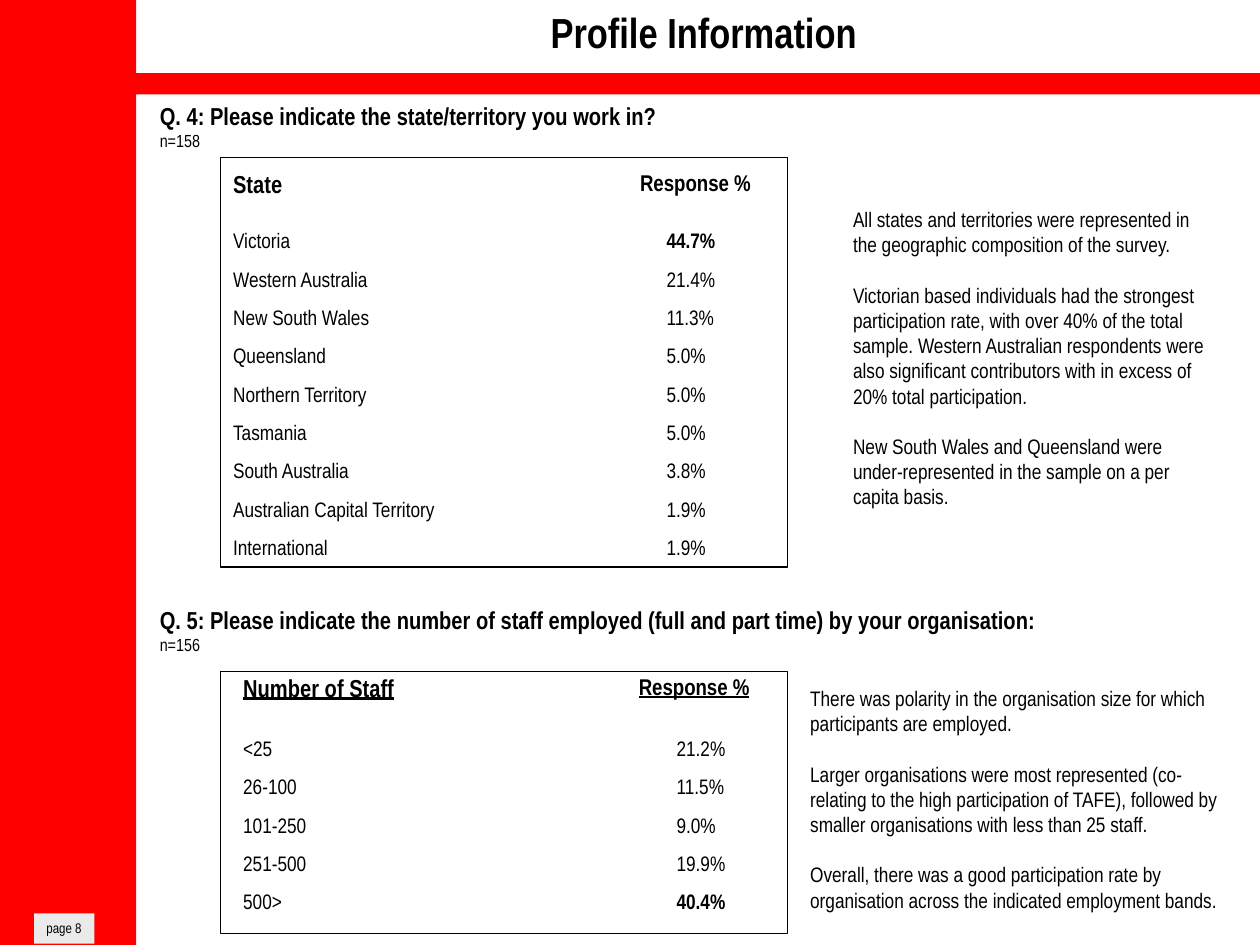
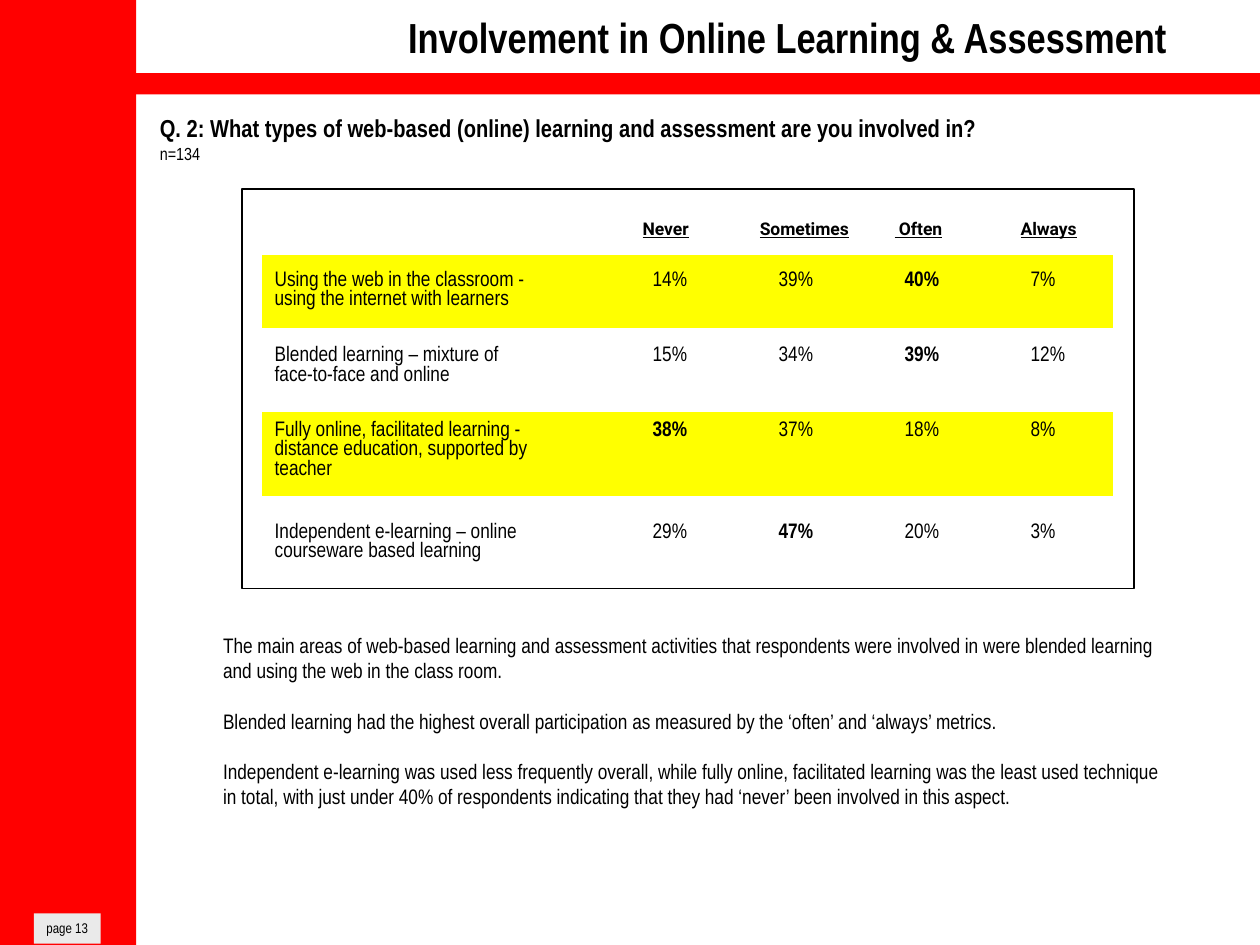
from lxml.etree import SubElement
from pptx import Presentation
from pptx.dml.color import RGBColor
from pptx.enum.shapes import MSO_SHAPE as Shape
from pptx.enum.text import MSO_ANCHOR as Anchor, MSO_AUTO_SIZE as AutoSize, PP_ALIGN as Align
from pptx.oxml.ns import qn
from pptx.util import Inches, Pt

COLORS = {"red": "FF0000", "grey": "EAEAEA", "yellow": "FFFF00", "black": "000000"}
NARROW = "Arial Narrow"

STATES = [
    ("Victoria", 44.7),
    ("Western Australia", 21.4),
    ("New South Wales", 11.3),
    ("Queensland", 5.0),
    ("Northern Territory", 5.0),
    ("Tasmania", 5.0),
    ("South Australia", 3.8),
    ("Australian Capital Territory", 1.9),
    ("International", 1.9),
]
STAFF = [("<25", 21.2), ("26-100", 11.5), ("101-250", 9.0), ("251-500", 19.9), ("500>", 40.4)]
INVOLVEMENT = [
    ("Using the web in the classroom - using the internet with learners", 14, 39, 40, 7),
    ("Blended learning – mixture of face-to-face and online", 15, 34, 39, 12),
    ("Fully online, facilitated learning - distance education, supported by teacher", 38, 37, 18, 8),
    ("Independent e-learning – online courseware based learning", 29, 47, 20, 3),
]

PAGES = [
    {
        "layout": "Two Content",
        "title": ("Profile Information", (1.17, 0, 8.83, 0.5)),
        "label": ("page 8", 0.48),
        "questions": [
            ("Q. 4: Please indicate the state/territory you work in?", "n=158", (1.17, 0.75, 4.67, 0.5)),
            ("Q. 5: Please indicate the number of staff employed (full and part time) by your organisation:",
             "n=156", (1.17, 4.75, 8.5, 0.5)),
        ],
        "tables": [
            {
                "frame": (1.75, 1.25, 4.5, 3.25),
                "corner": (1.85, 1.39),
                "widths": [3.23, 1.17],
                "heights": [0.39] + [2.74 / len(STATES)] * len(STATES),
                "head": ["State", "Response %"],
                "head_style": {"sizes": [14, 13], "name": NARROW, "underline": False},
                "head_insets": [0, 0],
                "head_anchor": Anchor.TOP,
                "insets": [0, 0.21],
                "rows": STATES,
            },
            {
                "frame": (1.75, 5.33, 4.5, 2.08),
                "corner": (1.93, 5.39),
                "widths": [3.14, 1.17],
                "heights": [0.42] + [1.52 / len(STAFF)] * len(STAFF),
                "head": ["Number of Staff", "Response %"],
                "head_style": {"sizes": [14, 13], "name": NARROW, "underline": True},
                "head_insets": [0, 0],
                "head_anchor": Anchor.TOP,
                "insets": [0, 0.3],
                "rows": STAFF,
            },
        ],
        "comments": [
            ((6.67, 1.59, 3.08, 2.5), [
                "All states and territories were represented in the geographic composition of the survey.",
                "Victorian based individuals had the strongest participation rate, with over 40% of the total "
                "sample. Western Australian respondents were also significant contributors with in excess of "
                "20% total participation.",
                "New South Wales and Queensland were under-represented in the sample on a per capita basis.",
            ]),
            ((6.33, 5.39, 3.5, 1.9), [
                "There was polarity in the organisation size for which participants are employed.",
                "Larger organisations were most represented (co-relating to the high participation of TAFE), "
                "followed by smaller organisations with less than 25 staff.",
                "Overall, there was a good participation rate by organisation across the indicated "
                "employment bands.",
            ]),
        ],
    },
    {
        "layout": "Title and Content",
        "title": ("Involvement in Online Learning & Assessment", (2.5, 0.04, 7.5, 0.5)),
        "label": ("page 13", 0.53),
        "questions": [
            ("Q. 2: What types of web-based (online) learning and assessment are you involved in?",
             "n=134", (1.17, 0.85, 8.58, 0.5)),
        ],
        "tables": [
            {
                "frame": (1.92, 1.5, 7.08, 3.17),
                "corner": (2.08, 1.62),
                "widths": [2.95, 1, 1, 1, 0.8],
                "heights": [0.4, 0.58, 0.67, 0.67, 0.66],
                "head": ["", "Never", "Sometimes", " Often", "Always"],
                "head_style": {"sizes": [10] * 5, "name": "Roboto", "underline": True},
                "head_insets": [0, 0.07, 0, 0.07, 0.07],
                "head_anchor": Anchor.MIDDLE,
                "insets": [0.1] + [0.15] * 4,
                "label_gap": 0.8,
                "tops": [0.13, 0.15, 0.07, 0.21],
                "rows": INVOLVEMENT,
                "bands": True,
            },
        ],
        "comments": [
            ((1.67, 4.97, 7.75, 1.5), [
                "The main areas of web-based learning and assessment activities that respondents were "
                "involved in were blended learning and using the web in the class room.",
                "Blended learning had the highest overall participation as measured by the ‘often’ and "
                "‘always’ metrics.",
                "Independent e-learning was used less frequently overall, while fully online, facilitated "
                "learning was the least used technique in total, with just under 40% of respondents "
                "indicating that they had ‘never’ been involved in this aspect.",
            ]),
        ],
    },
]


def color(name):
    return RGBColor.from_string(COLORS[name])


def place(box, area):
    for side, value in zip(("left", "top", "width", "height"), area):
        setattr(box, side, Inches(value))


def write(para, text, size, **extra):
    span = para.add_run()
    span.text = text
    style = {"name": NARROW, "size": Pt(size), "bold": False, "underline": False, **extra}
    for key, value in style.items():
        setattr(span.font, key, value)
    span.font.color.rgb = color("black")


def set_frame(box, wrap=True):
    style = {"word_wrap": wrap, "auto_size": AutoSize.NONE, "vertical_anchor": Anchor.TOP,
             "margin_left": Inches(0.1), "margin_right": Inches(0.1),
             "margin_top": Inches(0.05), "margin_bottom": Inches(0.05)}
    for key, value in style.items():
        setattr(box.text_frame, key, value)
    return box.text_frame


def add_rect(page, area, fill=None, line=None):
    box = page.shapes.add_shape(Shape.RECTANGLE, *map(Inches, area))
    box.shadow.inherit = False
    if fill:
        box.fill.solid()
        box.fill.fore_color.rgb = color(fill)
    else:
        box.fill.background()
    if line:
        box.line.color.rgb = color(line)
        box.line.width = Pt(0.75)
    else:
        box.line.fill.background()
    return box


def add_shared_parts(page, title, label):
    add_rect(page, (0, 0, 1.08, 7.5), "red")
    add_rect(page, (1.08, 0.58, 8.92, 0.17), "red")
    text, width = label
    para = set_frame(add_rect(page, (0.27, 7.25, width, 0.24), "grey"), wrap=False).paragraphs[0]
    para.alignment = Align.LEFT
    write(para, text, 8)
    text, area = title
    place(page.shapes.title, area)
    para = set_frame(page.shapes.title).paragraphs[0]
    para.alignment = Align.CENTER
    write(para, text, 24, bold=True)


def add_question(page, question, sample, area):
    frame = set_frame(page.shapes.add_textbox(*map(Inches, area)))
    write(frame.paragraphs[0], question, 14, bold=True)
    write(frame.add_paragraph(), sample, 10)


def fill_comment(box, area, texts):
    place(box, area)
    frame = set_frame(box)
    for index, text in enumerate(texts):
        para = frame.add_paragraph() if index else frame.paragraphs[0]
        props = para._p.get_or_add_pPr()
        props.set("marL", "0")
        props.set("indent", "0")
        SubElement(props, qn("a:buNone"))
        para.space_before = Inches(0.2 if index else 0)
        write(para, text, 12)


def format_cell(cell, left, top=0, right=0, anchor=Anchor.MIDDLE, fill=None):
    props = cell._tc.get_or_add_tcPr()
    for side in ("L", "R", "T", "B"):
        SubElement(SubElement(props, qn(f"a:ln{side}"), w="0"), qn("a:noFill"))
    style = {"margin_left": Inches(left), "margin_top": Inches(top), "margin_right": Inches(right),
             "margin_bottom": 0, "vertical_anchor": anchor}
    for key, value in style.items():
        setattr(cell, key, value)
    if fill:
        cell.fill.solid()
        cell.fill.fore_color.rgb = color(fill)
    else:
        cell.fill.background()


def add_survey_table(page, survey):
    rows, widths, heights = survey["rows"], survey["widths"], survey["heights"]
    area = (*survey["corner"], sum(widths), sum(heights))
    table = page.shapes.add_table(len(heights), len(widths), *map(Inches, area)).table
    table.first_row = table.horz_banding = False
    for column, width in zip(table.columns, widths):
        column.width = Inches(width)
    for line, height in zip(table.rows, heights):
        line.height = Inches(height)

    style = survey["head_style"]
    for col, text in enumerate(survey["head"]):
        cell = table.cell(0, col)
        format_cell(cell, survey["head_insets"][col], anchor=survey["head_anchor"])
        if text:
            write(cell.text_frame.paragraphs[0], text, style["sizes"][col], bold=True,
                  name=style["name"], underline=style["underline"])

    tops = survey.get("tops")
    column_peak = max(row[1] for row in rows)
    for index, row in enumerate(rows):
        peak = max(row[1:]) if len(row) > 2 else column_peak
        fill = "yellow" if survey.get("bands") and index % 2 == 0 else None
        for col, value in enumerate(row):
            cell = table.cell(index + 1, col)
            format_cell(cell, survey["insets"][col], tops[index] if tops else 0,
                        0 if col else survey.get("label_gap", 0),
                        Anchor.TOP if tops else Anchor.MIDDLE, fill)
            write(cell.text_frame.paragraphs[0], f"{value}%" if col else value, 12,
                  bold=value == peak)
    add_rect(page, survey["frame"], line="black")


def main():
    deck = Presentation()
    deck.slide_width, deck.slide_height = Inches(10), Inches(7.5)
    for content in PAGES:
        page = deck.slides.add_slide(deck.slide_layouts.get_by_name(content["layout"]))
        bodies = list(page.placeholders)[1:]
        add_shared_parts(page, content["title"], content["label"])
        for question in content["questions"]:
            add_question(page, *question)
        for survey in content["tables"]:
            add_survey_table(page, survey)
        for box, comment in zip(bodies, content["comments"]):
            fill_comment(box, *comment)
    deck.save("out.pptx")


if __name__ == "__main__":
    main()
